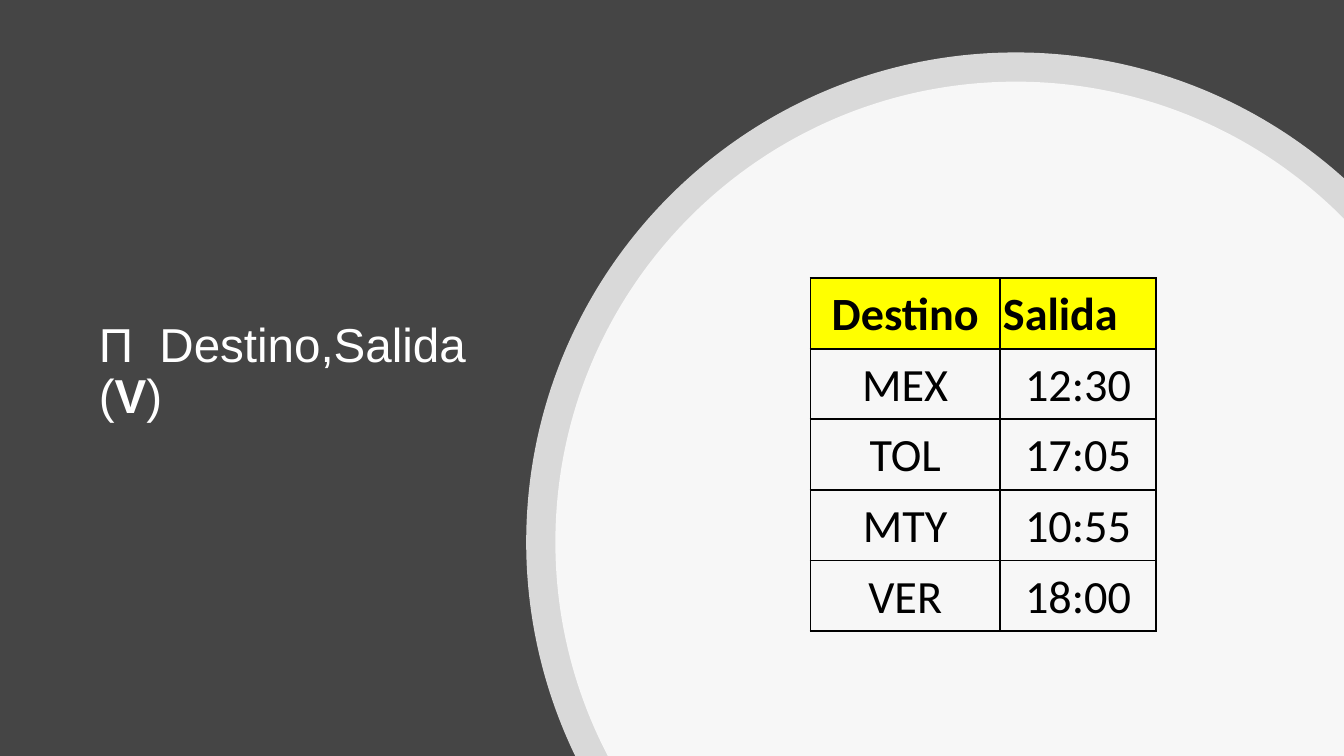
"""Build a slide with a projection formula and its result table."""
import math

import lxml.etree
import pptx
import pptx.dml.color
import pptx.enum.text
import pptx.oxml.ns
import pptx.util

DARK = pptx.dml.color.RGBColor(0x45, 0x45, 0x45)
WHITE = pptx.dml.color.RGBColor(0xFF, 0xFF, 0xFF)
BLACK = pptx.dml.color.RGBColor(0, 0, 0)
YELLOW = pptx.dml.color.RGBColor(0xFF, 0xFF, 0)
WIDTH, HEIGHT = 13.333, 7.5
CENTER_X, CENTER_Y = 10.08, 5.38
UNITS = 1000
ROWS = [
    ("Destino", "Salida"),
    ("MEX", "12:30"),
    ("TOL", "17:05"),
    ("MTY", "10:55"),
    ("VER", "18:00"),
]
COL_WIDTHS = (1.88, 1.55)
ROW_HEIGHT = 0.7


def add_child(parent, tag, **attrs):
    child = lxml.etree.SubElement(parent, pptx.oxml.ns.qn(tag))
    for name, value in attrs.items():
        child.set(name, str(value))
    return child


def bend(line, radius, a0, a1):
    tag = pptx.oxml.ns.qn("a:pt")
    p0 = line.getprevious().findall(tag)[-1]
    p1 = line.find(tag)
    reach = 4 / 3 * math.tan((a1 - a0) / 4) * radius * UNITS
    curve = lxml.etree.Element(pptx.oxml.ns.qn("a:cubicBezTo"))
    for point, angle, step in ((p0, a0, reach), (p1, a1, -reach)):
        x = int(point.get("x")) - step * math.sin(angle)
        y = int(point.get("y")) + step * math.cos(angle)
        add_child(curve, "a:pt", x=round(x), y=round(y))
    curve.append(p1)
    line.getparent().replace(line, curve)


prs = pptx.Presentation()
prs.slide_width = pptx.util.Inches(WIDTH)
prs.slide_height = pptx.util.Inches(HEIGHT)
s = prs.slides.add_slide(prs.slide_layouts[5])
s.background.fill.solid()
s.background.fill.fore_color.rgb = DARK

for radius in (4.86, 4.57):
    start = math.pi - math.asin((HEIGHT - CENTER_Y) / radius)
    end = 2 * math.pi - math.acos((WIDTH - CENTER_X) / radius)
    angles = [start, math.pi, 1.5 * math.pi, end]
    outline = [(CENTER_X + radius * math.cos(a), CENTER_Y + radius * math.sin(a)) for a in angles]
    outline.append((WIDTH, HEIGHT))
    points = [(round(x * UNITS), round(y * UNITS)) for x, y in outline]
    builder = s.shapes.build_freeform(*points[0], scale=pptx.util.Inches(1) / UNITS)
    builder.add_line_segments(points[1:], close=True)
    sp = builder.convert_to_shape()
    lines = list(sp._element.iter(pptx.oxml.ns.qn("a:lnTo")))
    for line, a0, a1 in zip(lines, angles, angles[1:]):
        bend(line, radius, a0, a1)
    sp.shadow.inherit = False
    sp.line.fill.background()
    sp.fill.solid()
    sp.fill.fore_color.rgb = WHITE
    color = sp.fill._xPr.find(".//" + pptx.oxml.ns.qn("a:srgbClr"))
    add_child(color, "a:alpha", val=80000)

title = s.shapes.title
title.left, title.top = pptx.util.Inches(0.88), pptx.util.Inches(1.53)
title.width, title.height = pptx.util.Inches(3.92), pptx.util.Inches(4.9)
tf = title.text_frame
tf.word_wrap = True
tf.auto_size = pptx.enum.text.MSO_AUTO_SIZE.NONE
tf.vertical_anchor = pptx.enum.text.MSO_ANCHOR.MIDDLE
tf.margin_bottom = pptx.util.Inches(0.62)
p = tf.paragraphs[0]
p.alignment = pptx.enum.text.PP_ALIGN.LEFT
p.line_spacing = 0.9
for text, bold in (("Π  Destino,Salida (", False), ("V", True), (")", False)):
    r = p.add_run()
    r.text = text
    r.font.name = "Arial"
    r.font.size = pptx.util.Pt(34)
    r.font.bold = bold
    r.font.color.rgb = WHITE

frame = s.shapes.add_table(
    len(ROWS), len(COL_WIDTHS),
    pptx.util.Inches(8.04), pptx.util.Inches(2.76),
    pptx.util.Inches(sum(COL_WIDTHS)), pptx.util.Inches(ROW_HEIGHT * len(ROWS)),
)
table = frame.table
table.horz_banding = False
for column, width in zip(table.columns, COL_WIDTHS):
    column.width = pptx.util.Inches(width)
for i, values in enumerate(ROWS):
    table.rows[i].height = pptx.util.Inches(ROW_HEIGHT)
    for j, value in enumerate(values):
        cell = table.cell(i, j)
        cell.margin_left = cell.margin_right = cell.margin_top = pptx.util.Inches(0.03)
        cell.margin_bottom = 0
        cell.vertical_anchor = pptx.enum.text.MSO_ANCHOR.MIDDLE
        props = cell._tc.get_or_add_tcPr()
        for side in ("a:lnL", "a:lnR", "a:lnT", "a:lnB"):
            border = add_child(props, side, w=pptx.util.Pt(1.5))
            add_child(add_child(border, "a:solidFill"), "a:srgbClr", val=BLACK)
        if i == 0:
            cell.fill.solid()
            cell.fill.fore_color.rgb = YELLOW
        else:
            cell.fill.background()
        cell.text_frame.text = value
        p = cell.text_frame.paragraphs[0]
        left = value == "Salida"
        p.alignment = pptx.enum.text.PP_ALIGN.LEFT if left else pptx.enum.text.PP_ALIGN.CENTER
        font = p.runs[0].font
        font.name = "Calibri"
        font.size = pptx.util.Pt(33)
        font.bold = i == 0
        font.color.rgb = BLACK

prs.save("out.pptx")
